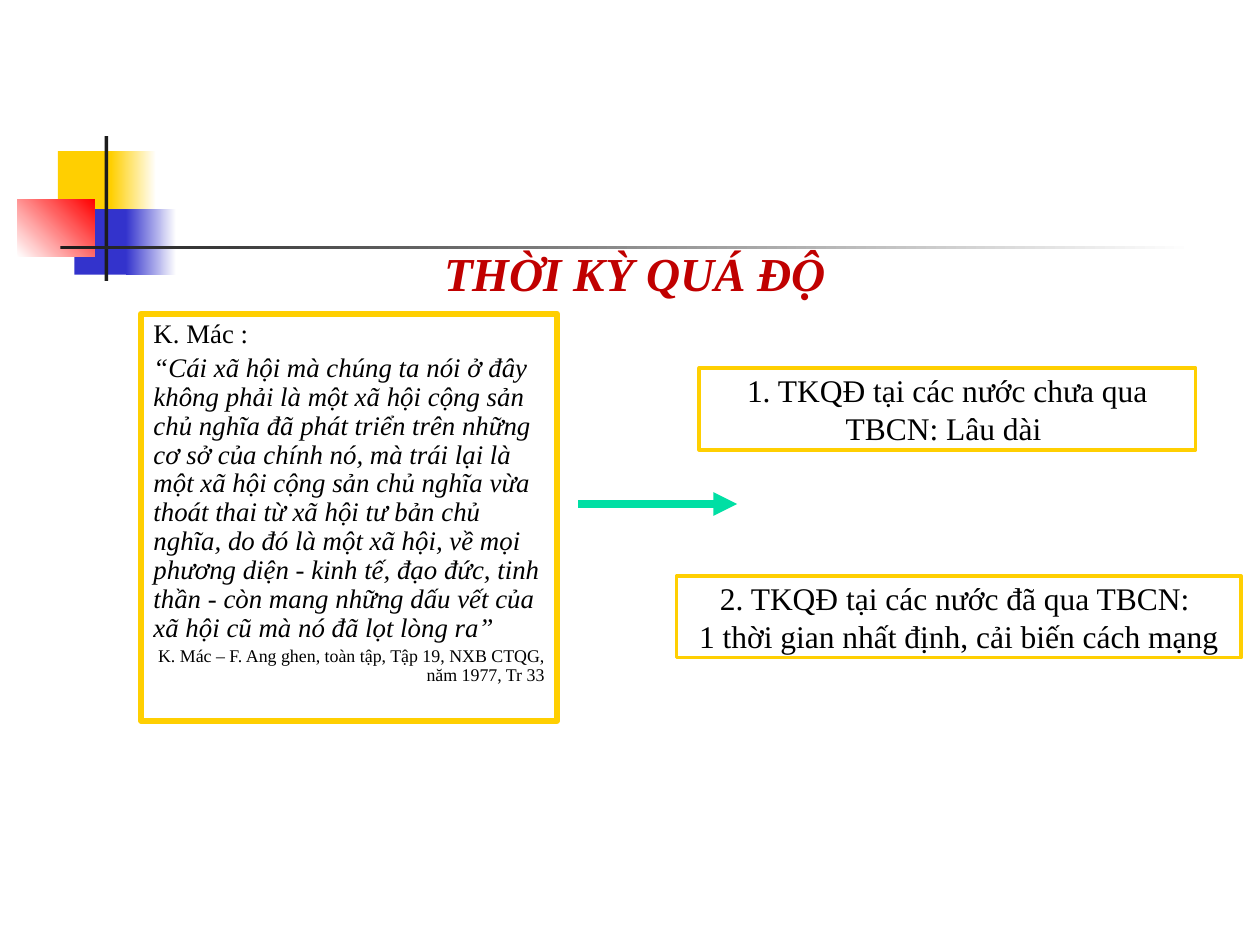
from dataclasses import dataclass
from typing import Optional

from lxml.etree import SubElement
from pptx import Presentation
from pptx.dml.color import RGBColor
from pptx.enum.shapes import MSO_CONNECTOR as Connector, MSO_SHAPE as Preset
from pptx.enum.text import MSO_ANCHOR as Anchor, PP_ALIGN as Align
from pptx.oxml.ns import qn
from pptx.shapes.autoshape import Shape
from pptx.slide import Slide
from pptx.util import Inches, Pt

COLORS = {
    "yellow": "FFCF01",
    "blue": "3333CC",
    "red": "FF0000",
    "title": "C00000",
    "ink": "1C1C1C",
    "text": "000000",
    "white": "FFFFFF",
    "arrow": "00DFA4",
}
FONT = "Times New Roman"


@dataclass
class Block:
    left: float
    top: float
    width: float
    height: float
    color: str
    fade_to: Optional[str] = None
    angle: float = 0


@dataclass
class Line:
    text: str
    size: float
    align: Align = Align.CENTER
    color: str = "text"
    bold: bool = False
    italic: bool = False
    spacing: Optional[float] = None
    before: float = 0


@dataclass
class Panel:
    left: float
    top: float
    width: float
    height: float
    lines: list[Line]
    border: float = 0
    anchor: Anchor = Anchor.MIDDLE


ORNAMENT = [
    Block(0.46, 1.2, 0.48, 0.52, "yellow"),
    Block(0.88, 1.2, 0.36, 0.52, "yellow", "white"),
    Block(0.59, 1.66, 0.46, 0.52, "blue"),
    Block(1, 1.66, 0.4, 0.52, "blue", "white"),
    Block(0.14, 1.58, 0.61, 0.46, "white", "red", 45),
    Block(0.83, 1.08, 0.03, 1.15, "ink"),
    Block(0.48, 1.95, 9, 0.03, "ink", "white"),
]

QUOTE = (
    "“Cái xã hội mà chúng ta nói ở đây không phải là một xã hội cộng sản "
    "chủ nghĩa đã phát triển trên những cơ sở của chính nó, mà trái lại là "
    "một xã hội cộng sản chủ nghĩa vừa thoát thai từ xã hội tư bản chủ nghĩa, "
    "do đó là một xã hội, về mọi phương diện - kinh tế, đạo đức, tinh thần - "
    "còn mang những dấu vết của xã hội cũ mà nó đã lọt lòng ra”"
)
SOURCE = "K. Mác – F. Ang ghen, toàn tập, Tập 19, NXB CTQG, năm 1977, Tr 33"

PANELS = [
    Panel(0.73, 1.48, 8.62, 0.96, [
        Line("THỜI KỲ QUÁ ĐỘ", 27, color="title", bold=True, italic=True),
    ], anchor=Anchor.BOTTOM),
    Panel(1.12, 2.49, 3.3, 3.23, [
        Line("K. Mác :", 15.3, Align.LEFT, spacing=0.9),
        Line(QUOTE, 15.3, Align.LEFT, italic=True, spacing=0.9, before=3),
        Line(SOURCE, 10.2, Align.RIGHT, spacing=0.9, before=2),
    ], 3.5, Anchor.TOP),
    Panel(5.55, 2.92, 3.94, 0.65, [
        Line("1. TKQĐ tại các nước chưa qua TBCN: Lâu dài ", 18),
    ], 2),
    Panel(5.37, 4.57, 4.48, 0.65, [
        Line("2. TKQĐ tại các nước đã qua TBCN: ", 18),
        Line("1 thời gian nhất định, cải biến cách mạng", 18),
    ], 2),
]


def rgb(name: str) -> RGBColor:
    """Return the named colour."""
    return RGBColor.from_string(COLORS[name])


def add_rectangle(slide: Slide, part: Block | Panel) -> Shape:
    """Add a rectangle without shadow at the part's place."""
    box = (part.left, part.top, part.width, part.height)
    rectangle = slide.shapes.add_shape(Preset.RECTANGLE, *map(Inches, box))
    rectangle.shadow.inherit = False
    return rectangle


def draw_block(slide: Slide, block: Block) -> None:
    """Draw one plain or fading block of the ornament."""
    rectangle = add_rectangle(slide, block)
    rectangle.line.fill.background()
    fill = rectangle.fill
    if block.fade_to is None:
        fill.solid()
        fill.fore_color.rgb = rgb(block.color)
        return
    fill.gradient()
    fill.gradient_angle = block.angle
    for stop, name in zip(fill.gradient_stops, (block.color, block.fade_to)):
        stop.color.rgb = rgb(name)


def write_lines(shape: Shape, panel: Panel) -> None:
    """Write the panel's paragraphs into the shape."""
    frame = shape.text_frame
    frame.word_wrap = True
    frame.vertical_anchor = panel.anchor
    for index, line in enumerate(panel.lines):
        paragraph = frame.add_paragraph() if index else frame.paragraphs[0]
        paragraph.alignment = line.align
        if line.spacing:
            paragraph.line_spacing = line.spacing
        if line.before:
            paragraph.space_before = Pt(line.before)
        run = paragraph.add_run()
        run.text = line.text
        run.font.name = FONT
        run.font.size = Pt(line.size)
        run.font.bold = line.bold
        run.font.italic = line.italic
        run.font.color.rgb = rgb(line.color)


def draw_panel(slide: Slide, panel: Panel) -> None:
    """Draw a bordered panel, or a bare text box when it has no border."""
    if panel.border:
        shape = add_rectangle(slide, panel)
        shape.fill.solid()
        shape.fill.fore_color.rgb = rgb("white")
        shape.line.color.rgb = rgb("yellow")
        shape.line.width = Pt(panel.border)
    else:
        box = (panel.left, panel.top, panel.width, panel.height)
        shape = slide.shapes.add_textbox(*map(Inches, box))
    write_lines(shape, panel)


def draw_arrow(slide: Slide, start: float, end: float, y: float) -> None:
    """Draw the horizontal arrow from the quotation to the two cases."""
    ends = map(Inches, (start, y, end, y))
    arrow = slide.shapes.add_connector(Connector.STRAIGHT, *ends)
    arrow.line.color.rgb = rgb("arrow")
    arrow.line.width = Pt(4.5)
    properties = arrow.element.spPr
    SubElement(properties.find(qn("a:ln")), qn("a:tailEnd"), type="triangle")
    SubElement(properties, qn("a:effectLst"))


def main() -> None:
    """Build the slide and save it."""
    presentation = Presentation()
    presentation.slide_width = Inches(10)
    presentation.slide_height = Inches(7.5)
    slide = presentation.slides.add_slide(presentation.slide_layouts[6])
    for block in ORNAMENT:
        draw_block(slide, block)
    for panel in PANELS:
        draw_panel(slide, panel)
    draw_arrow(slide, 4.59, 5.85, 4)
    presentation.save("out.pptx")


if __name__ == "__main__":
    main()
